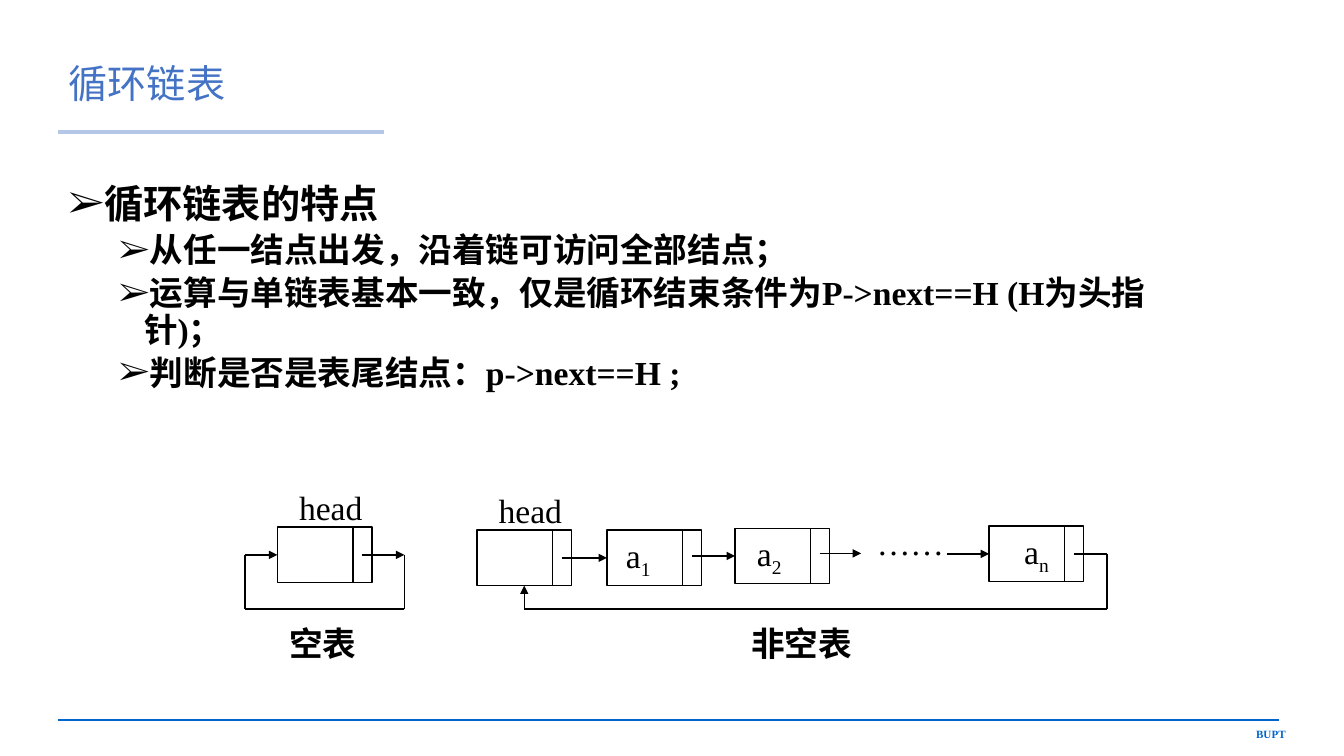
from dataclasses import dataclass

from lxml import etree
from pptx import Presentation
from pptx.dml.color import RGBColor
from pptx.enum.shapes import MSO_CONNECTOR, MSO_SHAPE
from pptx.enum.text import MSO_ANCHOR, PP_ALIGN
from pptx.oxml.ns import qn
from pptx.util import Inches, Pt

STRAIGHT = MSO_CONNECTOR.STRAIGHT
RECTANGLE = MSO_SHAPE.RECTANGLE
MIDDLE, TOP = MSO_ANCHOR.MIDDLE, MSO_ANCHOR.TOP
LEFT, CENTER, RIGHT = PP_ALIGN.LEFT, PP_ALIGN.CENTER, PP_ALIGN.RIGHT
LEFT_SIDE, BOTTOM_SIDE = 1, 2


@dataclass(frozen=True)
class Theme:
    font: str = "Times New Roman"
    ink: RGBColor = RGBColor(0x00, 0x00, 0x00)
    title: RGBColor = RGBColor(0x44, 0x72, 0xC4)
    title_rule: RGBColor = RGBColor(0xB4, 0xC7, 0xE7)
    footer: RGBColor = RGBColor(0x00, 0x66, 0xCC)
    heading_size: float = 28
    text_size: float = 24
    footer_size: float = 7.9
    line_width: float = 1


THEME = Theme()
NODE_WIDTH, NODE_HEIGHT = 0.94, 0.55
DIVIDER_OFFSET, POINTER_OFFSET, POINTER_LENGTH = 0.75, 0.84, 0.41
LOOP_Y = 6.04

POINTS = [
    (0, "循环链表的特点"),
    (1, "从任一结点出发，沿着链可访问全部结点；"),
    (1, "运算与单链表基本一致，仅是循环结束条件为P->next==H (H为头指针)；"),
    (1, "判断是否是表尾结点：p->next==H ;"),
]


def add_span(para, text, size=THEME.text_size, color=THEME.ink, bold=False):
    span = para.add_run()
    span.text = text
    font = span.font
    font.name, font.size, font.bold = THEME.font, Pt(size), bold
    font.color.rgb = color
    return span


def add_label(page, left, top, width, height, text, align=CENTER, anchor=MIDDLE, **style):
    box = page.shapes.add_textbox(Inches(left), Inches(top), Inches(width), Inches(height))
    frame = box.text_frame
    frame.word_wrap = False
    frame.vertical_anchor = anchor
    para = frame.paragraphs[0]
    para.alignment = align
    add_span(para, text, **style)


def add_line(page, start, end, color=THEME.ink, width=THEME.line_width, arrow=False):
    line = page.shapes.add_connector(STRAIGHT, *(Inches(value) for value in (*start, *end)))
    line.line.color.rgb = color
    line.line.width = Pt(width)
    properties = line._element.spPr
    if arrow:
        etree.SubElement(properties.find(qn("a:ln")), qn("a:tailEnd"), type="triangle")
    etree.SubElement(properties, qn("a:effectLst"))
    return line


def add_node(page, left, top, index="", shift=0):
    node = page.shapes.add_shape(
        RECTANGLE, Inches(left), Inches(top), Inches(NODE_WIDTH), Inches(NODE_HEIGHT))
    node.shadow.inherit = False
    node.fill.background()
    node.line.color.rgb = THEME.ink
    node.line.width = Pt(THEME.line_width)
    if index:
        frame = node.text_frame
        frame.word_wrap = True
        frame.vertical_anchor = MIDDLE
        frame.margin_left, frame.margin_right = Inches(0), Inches(2 * shift)
        para = frame.paragraphs[0]
        para.alignment = CENTER
        add_span(para, "a")
        add_span(para, index).font._element.set("baseline", "-25000")
    divider = left + DIVIDER_OFFSET
    add_line(page, (divider, top), (divider, top + NODE_HEIGHT))
    return node


def add_link(page, start_x, node_left, node_top, node):
    middle = node_top + NODE_HEIGHT / 2
    link = add_line(page, (start_x, middle), (node_left, middle), arrow=True)
    link.end_connect(node, LEFT_SIDE)


def add_path(page, *points):
    for start, end in zip(points, points[1:]):
        add_line(page, start, end)


def add_title(page):
    title = page.shapes.title
    title.left, title.top = Inches(0.58), Inches(0.4)
    title.width, title.height = Inches(11.18), Inches(0.9)
    title.text_frame.vertical_anchor = MIDDLE
    para = title.text_frame.paragraphs[0]
    para.alignment = LEFT
    para.line_spacing = 0.9
    add_span(para, "循环链表", THEME.heading_size, THEME.title)
    add_line(page, (0.58, 1.31), (3.81, 1.31), THEME.title_rule, 3.5)


def add_points(page):
    box = page.shapes.add_textbox(Inches(0.58), Inches(1.78), Inches(11.18), Inches(2.4))
    frame = box.text_frame
    frame.word_wrap = True
    for number, (level, text) in enumerate(POINTS):
        para = frame.add_paragraph() if number else frame.paragraphs[0]
        para.level = level
        para.line_spacing = 0.9
        if number:
            para.space_before = Pt(5)
        properties = para._p.get_or_add_pPr()
        properties.set("marL", str(Inches(0.25 + 0.5 * level)))
        properties.set("indent", str(Inches(-0.25)))
        etree.SubElement(properties, qn("a:buFont"), typeface=THEME.font)
        etree.SubElement(properties, qn("a:buChar"), char="➢")
        size = THEME.text_size if level else THEME.heading_size
        add_span(para, text, size, bold=True)


def add_empty_list(page):
    left, top = 2.75, 5.23
    middle = top + NODE_HEIGHT / 2
    pointer, loop_right, loop_left = left + POINTER_OFFSET, 4.01, 2.43
    add_label(page, 2.82, 4.78, 0.92, 0.5, "head")
    head = add_node(page, left, top)
    add_line(page, (pointer, middle), (loop_right, middle), arrow=True)
    add_path(page, (loop_right, middle), (loop_right, LOOP_Y),
             (loop_left, LOOP_Y), (loop_left, middle))
    add_link(page, loop_left, left, top, head)
    add_label(page, 2.6, 6.14, 1.2, 0.47, "空表", bold=True)


def add_filled_list(page):
    head_left, head_top = 4.73, 5.26
    add_label(page, 4.8, 4.81, 0.92, 0.5, "head")
    head = add_node(page, head_left, head_top)
    link_start = head_left + POINTER_OFFSET
    for left, top, index, shift in ((6.02, 5.26, "1", 0.16), (7.29, 5.24, "2", 0.13)):
        node = add_node(page, left, top, index, shift)
        add_link(page, link_start, left, top, node)
        link_start = left + POINTER_OFFSET
    add_line(page, (link_start, 5.49), (link_start + POINTER_LENGTH, 5.49), arrow=True)
    add_label(page, 8.56, 5.14, 0.94, 0.47, "……")

    last_left, last_top = 9.81, 5.22
    last = add_node(page, last_left, last_top, "n")
    add_link(page, 9.39, last_left, last_top, last)
    loop_right, loop_left = 10.98, head_left + NODE_WIDTH / 2
    middle = last_top + NODE_HEIGHT / 2
    add_path(page, (last_left + POINTER_OFFSET, middle), (loop_right, middle),
             (loop_right, LOOP_Y), (loop_left, LOOP_Y))
    back = add_line(page, (loop_left, LOOP_Y), (loop_left, head_top + NODE_HEIGHT), arrow=True)
    back.end_connect(head, BOTTOM_SIDE)
    add_label(page, 7.15, 6.14, 1.6, 0.47, "非空表", bold=True)


def add_footer(page):
    add_line(page, (0.58, 7.14), (12.69, 7.14), THEME.footer, 1.5)
    add_label(page, 11.5, 7.17, 1.35, 0.23, "BUPT", RIGHT, TOP,
              size=THEME.footer_size, color=THEME.footer, bold=True)


def main():
    deck = Presentation()
    deck.slide_width, deck.slide_height = Inches(13.33), Inches(7.5)
    page = deck.slides.add_slide(deck.slide_layouts[5])
    add_title(page)
    add_points(page)
    add_empty_list(page)
    add_filled_list(page)
    add_footer(page)
    deck.save("out.pptx")


if __name__ == "__main__":
    main()
